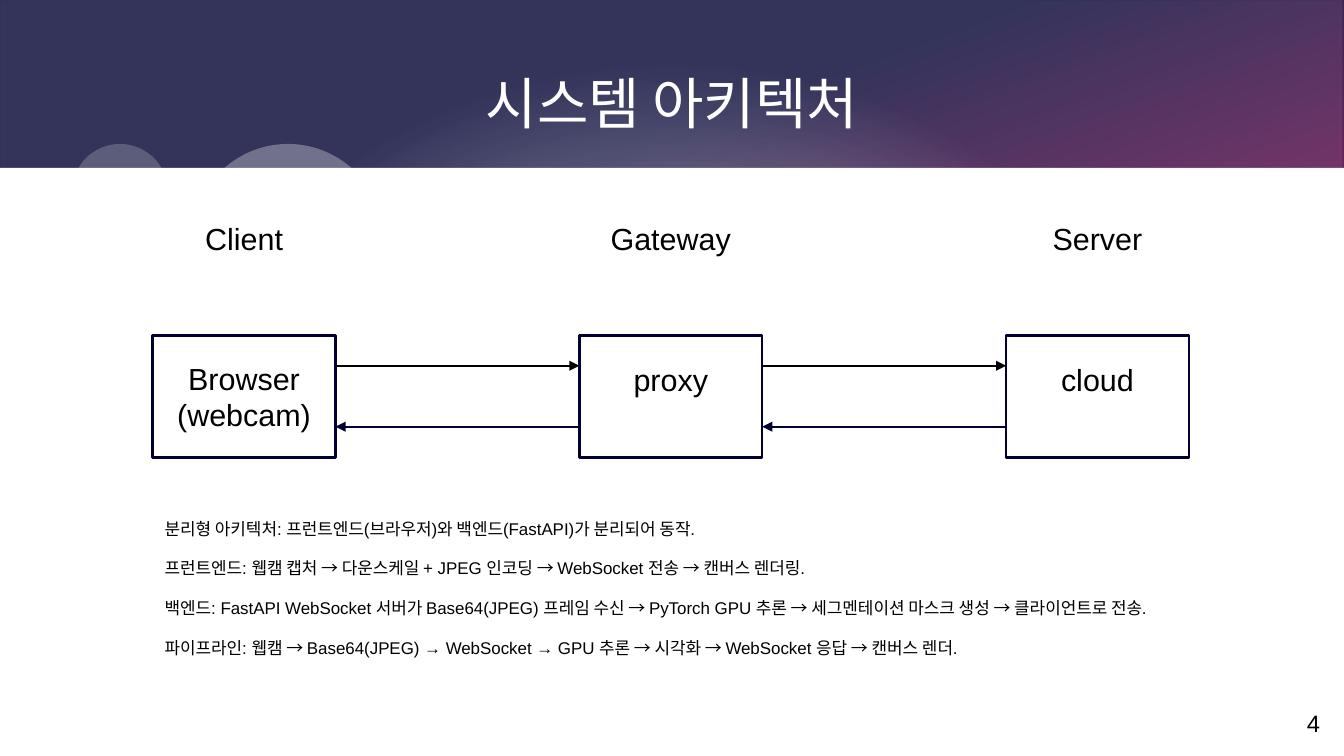
from dataclasses import dataclass
from typing import Any

from lxml.etree import SubElement
from pptx import Presentation
from pptx.dml.color import RGBColor
from pptx.enum.shapes import MSO_CONNECTOR as Connector, MSO_SHAPE as Preset
from pptx.enum.text import MSO_ANCHOR as Anchor, PP_ALIGN as Align
from pptx.oxml import parse_xml
from pptx.oxml.ns import nsdecls, qn
from pptx.util import Cm, Pt


@dataclass(frozen=True)
class Theme:
    font: str = "Arial"
    navy: str = "000032"
    pink: str = "F60063"
    white: str = "FFFFFF"
    black: str = "000000"
    title: float = 33
    diagram: float = 18
    notes: float = 10
    number: float = 14
    stroke: float = 1.42


@dataclass(frozen=True)
class Area:
    left: float
    top: float
    width: float
    height: float

    def lengths(self) -> tuple[Cm, Cm, Cm, Cm]:
        return Cm(self.left), Cm(self.top), Cm(self.width), Cm(self.height)


@dataclass(frozen=True)
class Stage:
    role: str
    lines: tuple[str, ...]
    bottom_inset: float


@dataclass(frozen=True)
class Stop:
    position: int
    color: str
    opacity: int = 100


THEME = Theme()
PAGE = Area(0, 0, 28, 15.75)
HEADER_HEIGHT = 3.5
FIRST_STAGE = Area(3.18, 6.99, 3.81, 2.54)
STAGE_PITCH = 8.89
ROLE_TOP, ROLE_HEIGHT = 4.45, 1.27
REQUEST_Y, RESPONSE_Y = 7.62, 8.89
BUBBLES = ((Area(4, 3, 4, 4), 30), (Area(1.5, 3, 2, 2), 20))
STAGES = (
    Stage("Client", ("Browser", "(webcam)"), 0.13),
    Stage("Gateway", ("proxy",), 0.86),
    Stage("Server", ("cloud",), 0.86),
)
NOTES = (
    "분리형 아키텍처: 프런트엔드(브라우저)와 백엔드(FastAPI)가 분리되어 동작.",
    "프런트엔드: 웹캠 캡처 → 다운스케일 + JPEG 인코딩 → WebSocket 전송 → 캔버스 렌더링.",
    "백엔드: FastAPI WebSocket 서버가 Base64(JPEG) 프레임 수신 → PyTorch GPU 추론 → "
    "세그멘테이션 마스크 생성 → 클라이언트로 전송.",
    "파이프라인: 웹캠 → Base64(JPEG) → WebSocket → GPU 추론 → 시각화 → WebSocket 응답 → 캔버스 렌더.",
)
NO_INSETS = dict.fromkeys(("margin_left", "margin_top", "margin_right", "margin_bottom"), Cm(0))


def apply(target: Any, values: dict[str, Any]) -> None:
    for attribute, value in values.items():
        setattr(target, attribute, value)


def write(shape: Any, lines: tuple[str, ...], size: float, color: str = THEME.black,
          align: Align = Align.CENTER, gap: float = 0, **frame_format: Any) -> None:
    frame = shape.text_frame
    apply(frame, {"word_wrap": True, **frame_format})
    for index, line in enumerate(lines):
        paragraph = frame.add_paragraph() if index else frame.paragraphs[0]
        apply(paragraph, {"alignment": align, "space_before": Pt(gap if index else 0)})
        run = paragraph.add_run()
        run.text = line
        apply(run.font, {"name": THEME.font, "size": Pt(size)})
        run.font.color.rgb = RGBColor.from_string(color)


def add_panel(slide: Any, preset: Preset, area: Area, opacity: int = 100) -> Any:
    panel = slide.shapes.add_shape(preset, *area.lengths())
    panel.shadow.inherit = False
    panel.line.fill.background()
    panel.fill.solid()
    panel.fill.fore_color.rgb = RGBColor.from_string(THEME.white)
    if opacity < 100:
        color = panel.element.spPr.find(qn("a:solidFill")).find(qn("a:srgbClr"))
        SubElement(color, qn("a:alpha"), val=str(opacity * 1000))
    return panel


def add_gradient(slide: Any, stops: tuple[Stop, ...], direction: str) -> None:
    properties = add_panel(slide, Preset.RECTANGLE, PAGE).element.spPr
    colors = "".join(
        f'<a:gs pos="{stop.position * 1000}"><a:srgbClr val="{stop.color}">'
        f'<a:alpha val="{stop.opacity * 1000}"/></a:srgbClr></a:gs>'
        for stop in stops
    )
    gradient = parse_xml(
        f'<a:gradFill {nsdecls("a")} rotWithShape="1"><a:gsLst>{colors}</a:gsLst>{direction}</a:gradFill>'
    )
    properties.replace(properties.find(qn("a:solidFill")), gradient)


def add_arrow(slide: Any, start: float, end: float, y: float, color: str) -> None:
    arrow = slide.shapes.add_connector(Connector.STRAIGHT, Cm(start), Cm(y), Cm(end), Cm(y))
    arrow.line.width = Pt(THEME.stroke)
    arrow.line.color.rgb = RGBColor.from_string(color)
    SubElement(arrow.line._get_or_add_ln(), qn("a:tailEnd"), type="triangle")
    SubElement(arrow.element.spPr, qn("a:effectLst"))


def add_text(slide: Any, area: Area, lines: tuple[str, ...], size: float, **text_format: Any) -> None:
    write(slide.shapes.add_textbox(*area.lengths()), lines, size, **text_format)


def draw_header(slide: Any) -> None:
    add_gradient(slide, (Stop(30, THEME.navy), Stop(100, THEME.pink)),
                 '<a:lin ang="4200000" scaled="0"/>')
    add_gradient(slide, (Stop(0, THEME.white, 90), Stop(75, THEME.white, 20)),
                 '<a:path path="circle"><a:fillToRect l="50000" t="85000" r="50000" b="15000"/></a:path>')
    add_panel(slide, Preset.RECTANGLE,
              Area(0, HEADER_HEIGHT, PAGE.width, PAGE.height - HEADER_HEIGHT))
    for area, opacity in BUBBLES:
        add_panel(slide, Preset.OVAL, area, opacity)
    add_text(slide, Area(1.5, 0.75, 25, 2.75), ("시스템 아키텍처",), THEME.title,
             color=THEME.white, vertical_anchor=Anchor.MIDDLE, **NO_INSETS)


def draw_stage(slide: Any, stage: Stage, left: float) -> None:
    box = add_panel(slide, Preset.RECTANGLE,
                    Area(left, FIRST_STAGE.top, FIRST_STAGE.width, FIRST_STAGE.height), 70)
    box.line.color.rgb = RGBColor.from_string(THEME.navy)
    box.line.width = Pt(THEME.stroke)
    write(box, stage.lines, THEME.diagram, word_wrap=False,
          vertical_anchor=Anchor.MIDDLE, margin_bottom=Cm(stage.bottom_inset))
    add_text(slide, Area(left, ROLE_TOP, FIRST_STAGE.width, ROLE_HEIGHT),
             (stage.role,), THEME.diagram)


def main() -> None:
    presentation = Presentation()
    apply(presentation, {"slide_width": Cm(PAGE.width), "slide_height": Cm(PAGE.height)})
    slide = presentation.slides.add_slide(presentation.slide_layouts[6])
    draw_header(slide)
    lefts = [FIRST_STAGE.left + index * STAGE_PITCH for index in range(len(STAGES))]
    for stage, left in zip(STAGES, lefts):
        draw_stage(slide, stage, left)
    for left, following in zip(lefts, lefts[1:]):
        edge = left + FIRST_STAGE.width
        add_arrow(slide, edge, following, REQUEST_Y, THEME.black)
        add_arrow(slide, following, edge, RESPONSE_Y, THEME.navy)
    add_text(slide, Area(FIRST_STAGE.left, 10.67, 21.59, 3.63), NOTES, THEME.notes,
             align=Align.LEFT, gap=11.5)
    add_text(slide, Area(21, 14.75, 6.5, 0.6), ("4",), THEME.number,
             align=Align.RIGHT, vertical_anchor=Anchor.BOTTOM, **NO_INSETS)
    presentation.save("out.pptx")


if __name__ == "__main__":
    main()
